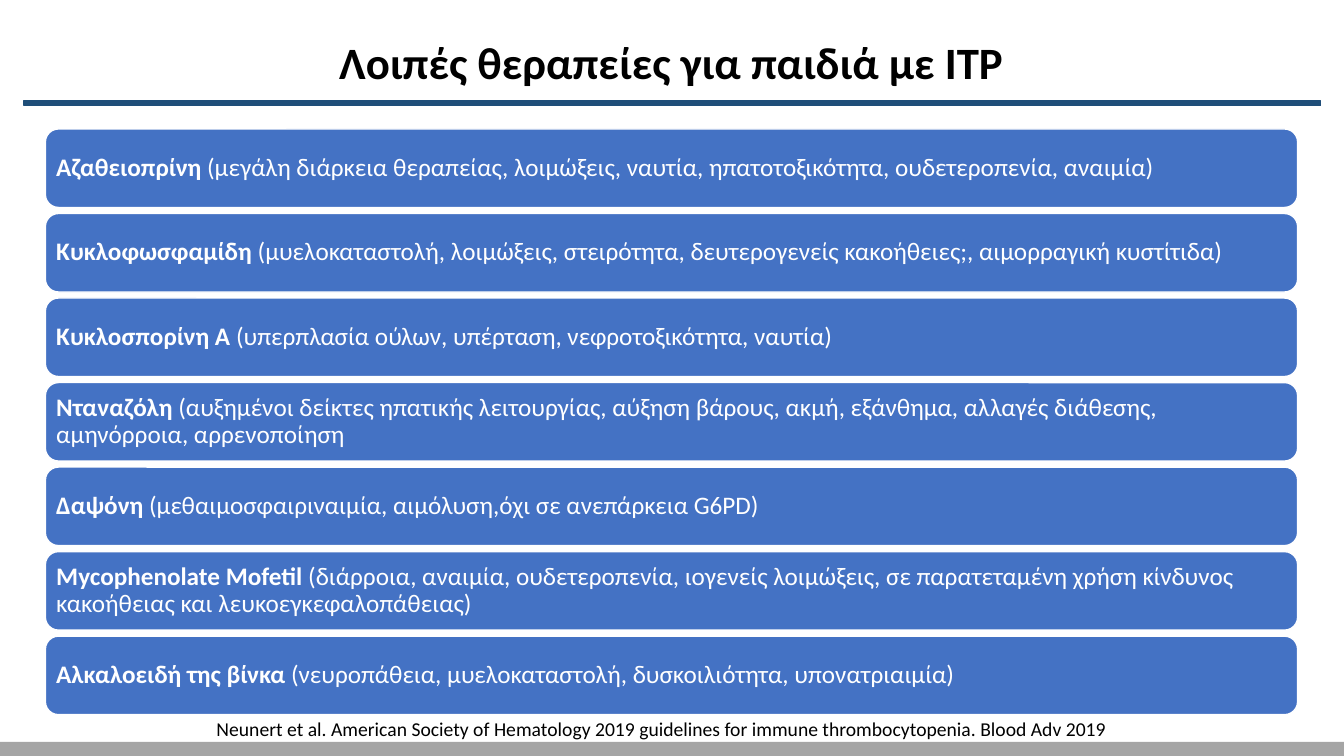
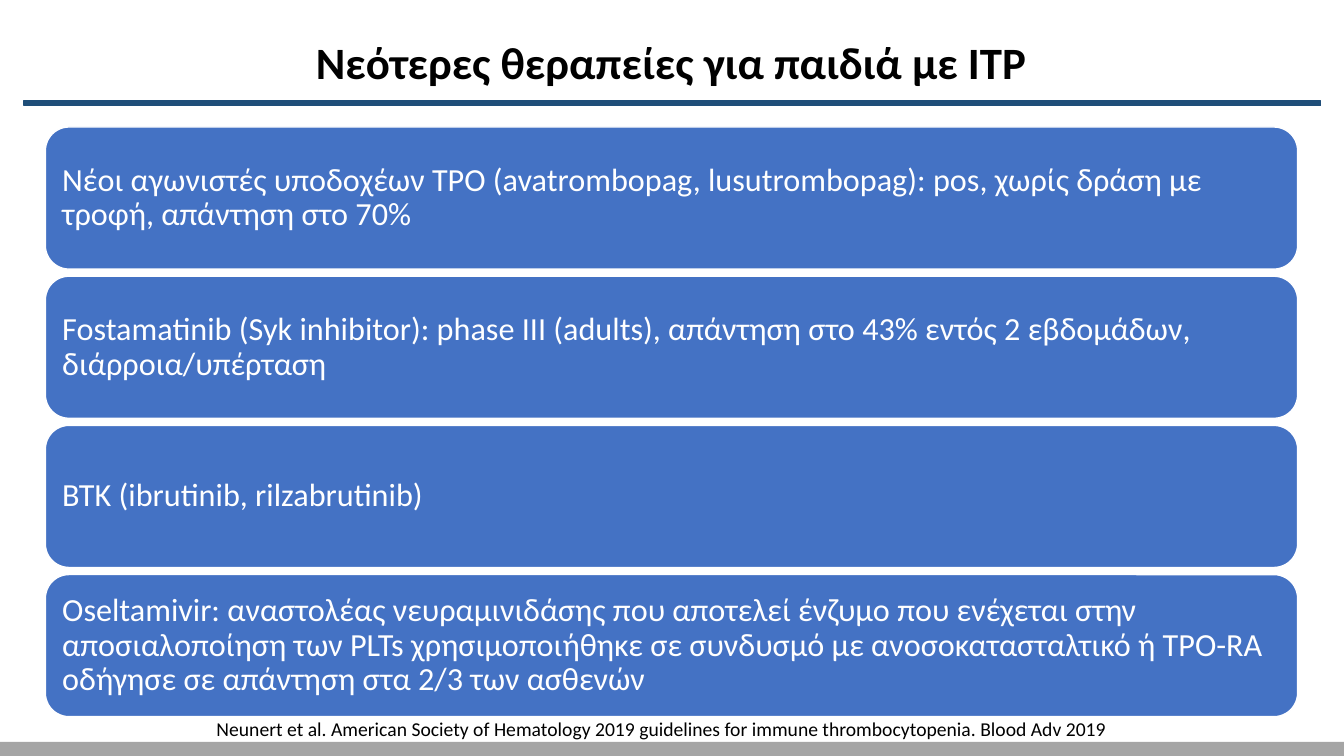
from pptx import Presentation
from pptx.dml.color import RGBColor
from pptx.enum import shapes, text
from pptx.util import Inches, Pt

FONT = "Calibri"
BLACK, WHITE, GREY, NAVY, BLUE = "000000", "FFFFFF", "A5A5A5", "1F4E79", "4472C4"
SIDES = ("margin_left", "margin_top", "margin_right", "margin_bottom")
WIDTH, HEIGHT = 13.33, 7.5
CITATION = ("Neunert et al. American Society of Hematology 2019 guidelines "
            "for immune thrombocytopenia. Blood Adv 2019")

OTHER_THERAPIES = [
    ("Αζαθειοπρίνη", " (μεγάλη διάρκεια θεραπείας, λοιμώξεις, ναυτία, "
     "ηπατοτοξικότητα, ουδετεροπενία, αναιμία)"),
    ("Κυκλοφωσφαμίδη", " (μυελοκαταστολή, λοιμώξεις, στειρότητα, "
     "δευτερογενείς κακοήθειες;, αιμορραγική κυστίτιδα)"),
    ("Κυκλοσπορίνη Α", " (υπερπλασία ούλων, υπέρταση, νεφροτοξικότητα, ναυτία)"),
    ("Νταναζόλη", " (αυξημένοι δείκτες ηπατικής λειτουργίας, αύξηση βάρους, "
     "ακμή, εξάνθημα, αλλαγές διάθεσης, αμηνόρροια, αρρενοποίηση"),
    ("Δαψόνη", " (μεθαιμοσφαιριναιμία, αιμόλυση,όχι σε ανεπάρκεια G6PD)"),
    ("Mycophenolate Mofetil", " (διάρροια, αναιμία, ουδετεροπενία, ιογενείς "
     "λοιμώξεις, σε παρατεταμένη χρήση κίνδυνος κακοήθειας και "
     "λευκοεγκεφαλοπάθειας)"),
    ("Αλκαλοειδή της βίνκα", " (νευροπάθεια, μυελοκαταστολή, δυσκοιλιότητα, "
     "υπονατριαιμία)"),
]
NEWER_THERAPIES = [
    ("", "Νέοι αγωνιστές υποδοχέων TPO (avatrombopag, lusutrombopag): pos, "
     "χωρίς δράση με τροφή, απάντηση στο 70%"),
    ("", "Fostamatinib (Syk inhibitor): phase III (adults), απάντηση στο 43% "
     "εντός 2 εβδομάδων, διάρροια/υπέρταση"),
    ("", "ΒΤΚ (ibrutinib, rilzabrutinib)"),
    ("", "Oseltamivir: αναστολέας νευραμινιδάσης που αποτελεί ένζυμο που "
     "ενέχεται στην αποσιαλοποίηση των PLTs χρησιμοποιήθηκε σε συνδυσμό με "
     "ανοσοκατασταλτικό ή TPO-RA οδήγησε σε απάντηση στα 2/3 των ασθενών"),
]


def rgb(value):
    return RGBColor.from_string(value)


def set_attrs(obj, **values):
    for name, value in values.items():
        setattr(obj, name, value)


def add_run(p, words, size, color, bold=False):
    r = p.add_run()
    r.text = words
    set_attrs(r.font, name=FONT, size=Pt(size), bold=bold)
    r.font.color.rgb = rgb(color)


def add_block(s, kind, box, fill, line=None):
    sp = s.shapes.add_shape(kind, *map(Inches, box))
    sp.shadow.inherit = False
    sp.fill.solid()
    sp.fill.fore_color.rgb = rgb(fill)
    if line:
        sp.line.color.rgb = rgb(line)
        sp.line.width = Pt(1)
    else:
        sp.line.fill.background()
    return sp


def add_master_band(prs, s):
    """Draw the bottom band and hand it to the master, behind everything."""
    band = add_block(s, shapes.MSO_SHAPE.RECTANGLE, (0, 7.36, WIDTH, 0.14), GREY)
    prs.slide_master.element.cSld.spTree.insert(2, band.element)


def add_title(s, words, box):
    title = s.shapes.title
    set_attrs(title, **dict(zip(("left", "top", "width", "height"), map(Inches, box))))
    tf = title.text_frame
    set_attrs(tf, vertical_anchor=text.MSO_ANCHOR.TOP, word_wrap=True,
              auto_size=text.MSO_AUTO_SIZE.NONE, **dict.fromkeys(SIDES, Inches(0.13)))
    p = tf.paragraphs[0]
    set_attrs(p, alignment=text.PP_ALIGN.CENTER, line_spacing=0.9)
    add_run(p, words, 32, BLACK, bold=True)
    add_block(s, shapes.MSO_SHAPE.RECTANGLE, (0.24, 1, 12.86, 0.05), NAVY, NAVY)


def add_cards(s, items, box, gap, size, inset):
    """Stack equal rounded cards, one for each item, to fill the box."""
    left, top, width, height = box
    card_height = (height - gap * (len(items) - 1)) / len(items)
    for i, (name, detail) in enumerate(items):
        card = add_block(s, shapes.MSO_SHAPE.ROUNDED_RECTANGLE,
                         (left, top + i * (card_height + gap), width, card_height),
                         BLUE, WHITE)
        tf = card.text_frame
        set_attrs(tf, vertical_anchor=text.MSO_ANCHOR.MIDDLE, word_wrap=True,
                  **dict.fromkeys(SIDES, Inches(inset)))
        p = tf.paragraphs[0]
        set_attrs(p, alignment=text.PP_ALIGN.LEFT, line_spacing=0.9)
        if name:
            add_run(p, name, size, WHITE, bold=True)
        add_run(p, detail, size, WHITE)


def add_citation(s, box):
    tf = s.shapes.add_textbox(*map(Inches, box)).text_frame
    set_attrs(tf, word_wrap=False, auto_size=text.MSO_AUTO_SIZE.SHAPE_TO_FIT_TEXT)
    p = tf.paragraphs[0]
    p.alignment = text.PP_ALIGN.CENTER
    add_run(p, CITATION, 14, BLACK)


def add_therapy_slide(prs, title, items, **cards):
    s = prs.slides.add_slide(prs.slide_layouts.get_by_name("Title Only"))
    add_title(s, title, (0.45, 0.27, 12.42, 1.41))
    add_cards(s, items, **cards)
    add_citation(s, (2.01, 7.06, 9.11, 0.34))
    return s


def main():
    prs = Presentation()
    set_attrs(prs, slide_width=Inches(WIDTH), slide_height=Inches(HEIGHT))
    s = add_therapy_slide(prs, "Λοιπές θεραπείες για παιδιά με ΙΤΡ", OTHER_THERAPIES,
                          box=(0.45, 1.28, 12.42, 5.81), gap=0.06, size=18, inset=0.07)
    add_master_band(prs, s)
    add_therapy_slide(prs, "Νεότερες θεραπείες για παιδιά με ΙΤΡ", NEWER_THERAPIES,
                      box=(0.45, 1.26, 12.42, 5.85), gap=0.07, size=23, inset=0.1)
    prs.save("out.pptx")


if __name__ == "__main__":
    main()
